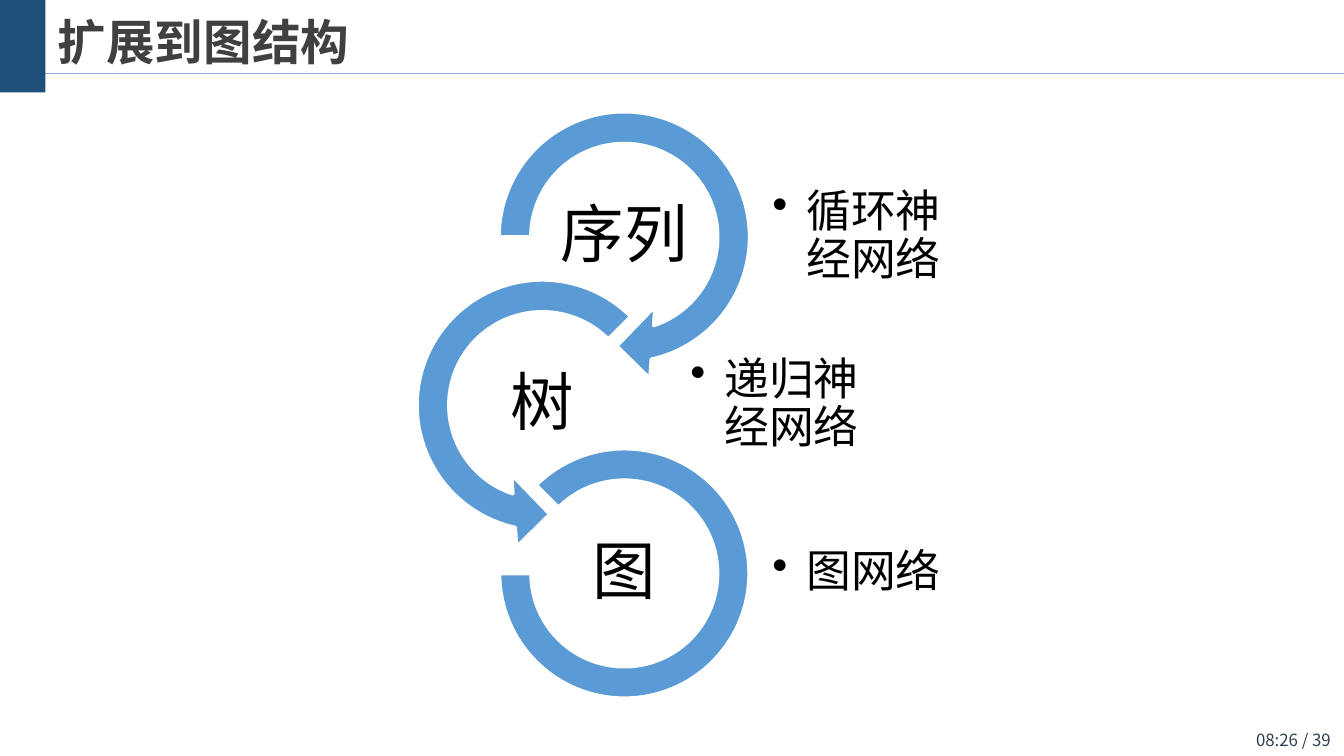
from lxml.etree import SubElement
from pptx import Presentation
from pptx.dml.color import RGBColor
from pptx.enum.shapes import MSO_CONNECTOR, MSO_SHAPE as Preset
from pptx.enum.text import MSO_ANCHOR as Anchor, MSO_AUTO_SIZE, PP_ALIGN as Align
from pptx.oxml.ns import qn
from pptx.util import Cm, Pt

TITLE = "扩展到图结构"
PAGE = "08:26 / 39"
# label, bullet, ring preset, ring adjustments, ring size, ring centre x
STAGES = [
    ("序列", "循环神经网络", Preset.CIRCULAR_ARROW, (0.11, 11.42, 45, 108, 0.125), 5.51, 11.8),
    ("树", "递归神经网络", Preset.LEFT_CIRCULAR_ARROW, (0.11, 11.42, 63, 189, 0.125), 5.51, 10.25),
    ("图", "图网络", Preset.BLOCK_ARC, (135, 108, 0.127), 4.72, 11.8),
]

SLIDE_W, SLIDE_H = 25.4, 14.29
FIRST_CENTRE_Y, STEP_Y = 4.48, 3.18
BULLET_OFFSET = 2.75
LABEL_W, LABEL_H = 3.07, 1.52
BULLET_W, BULLET_H = 3.3, 2.21
RULE_Y = 1.39
INSET, INDENT = 0.05, 0.64

HEAD_FONT, BODY_FONT = "Noto Sans CJK SC", "TeX Gyre Pagella"
BLUE = RGBColor(0x5B, 0x9B, 0xD5)
NAVY = RGBColor(0x1F, 0x4E, 0x79)
RULE = RGBColor(0x8F, 0xAA, 0xDC)
TITLE_GREY = RGBColor(0x40, 0x40, 0x40)
PAGE_GREY = RGBColor(0x33, 0x3F, 0x50)
BLACK = RGBColor(0, 0, 0)
WHITE = RGBColor(0xFF, 0xFF, 0xFF)


def write(frame, text, size, font, color, align=Align.LEFT, anchor=Anchor.MIDDLE, bold=False):
    frame.text = text
    frame.word_wrap = True
    frame.auto_size = MSO_AUTO_SIZE.NONE
    frame.vertical_anchor = anchor
    paragraph = frame.paragraphs[0]
    paragraph.alignment = align
    run = paragraph.runs[0]
    run.font.size, run.font.name, run.font.bold = Pt(size), font, bold
    run.font.color.rgb = color
    SubElement(run.font._element, qn("a:ea"), typeface=HEAD_FONT)
    return paragraph


def add_stage_text(slide, text, left, centre_y, width, height, size, align):
    box = slide.shapes.add_textbox(Cm(left), Cm(centre_y - height / 2), Cm(width), Cm(height))
    frame = box.text_frame
    frame.margin_left = frame.margin_right = Cm(INSET)
    frame.margin_top = frame.margin_bottom = Cm(INSET)
    paragraph = write(frame, text, size, BODY_FONT, BLACK, align)
    paragraph.line_spacing = 0.9
    return paragraph


def add_bullet(paragraph):
    props = paragraph._p.get_or_add_pPr()
    props.set("lvl", "1")
    props.set("marL", str(Cm(INDENT)))
    props.set("indent", str(-Cm(INDENT)))
    SubElement(props, qn("a:buChar"), char="•")


def add_ring(slide, preset, adjustments, size, centre_x, centre_y):
    ring = slide.shapes.add_shape(
        preset, Cm(centre_x - size / 2), Cm(centre_y - size / 2), Cm(size), Cm(size))
    for index, value in enumerate(adjustments):
        ring.adjustments[index] = value
    ring.shadow.inherit = False
    ring.fill.solid()
    ring.fill.fore_color.rgb = BLUE
    ring.line.color.rgb = WHITE
    ring.line.width = Pt(2)


def add_frame(slide):
    """Draw the rule, corner block, page number and title."""
    rule = slide.shapes.add_connector(
        MSO_CONNECTOR.STRAIGHT, 0, Cm(RULE_Y), Cm(SLIDE_W), Cm(RULE_Y))
    rule.line.color.rgb = RULE
    rule.line.width = Pt(0.75)
    SubElement(rule._element.spPr, qn("a:effectLst"))

    corner = slide.shapes.add_shape(Preset.RECTANGLE, 0, 0, Cm(0.86), Cm(1.75))
    corner.shadow.inherit = False
    corner.fill.solid()
    corner.fill.fore_color.rgb = NAVY
    corner.line.fill.background()

    page = slide.shapes.add_textbox(Cm(23.04), Cm(13.67), Cm(2.36), Cm(0.63))
    write(page.text_frame, PAGE, 9, HEAD_FONT, PAGE_GREY, Align.RIGHT)

    title = slide.shapes.title
    title.left, title.top, title.width, title.height = Cm(0.84), Cm(0.18), Cm(14.15), Cm(1.27)
    write(title.text_frame, TITLE, 26, HEAD_FONT, TITLE_GREY, anchor=Anchor.BOTTOM, bold=True)


def main():
    deck = Presentation()
    deck.slide_width, deck.slide_height = Cm(SLIDE_W), Cm(SLIDE_H)
    slide = deck.slides.add_slide(deck.slide_layouts[5])
    add_frame(slide)
    for row, (label, bullet, preset, adjustments, size, centre_x) in enumerate(STAGES):
        centre_y = FIRST_CENTRE_Y + row * STEP_Y
        add_ring(slide, preset, adjustments, size, centre_x, centre_y)
        add_bullet(add_stage_text(slide, bullet, centre_x + BULLET_OFFSET, centre_y,
                                  BULLET_W, BULLET_H, 24, Align.LEFT))
        add_stage_text(slide, label, centre_x - LABEL_W / 2, centre_y,
                       LABEL_W, LABEL_H, 34, Align.CENTER)
    deck.save("out.pptx")


if __name__ == "__main__":
    main()
